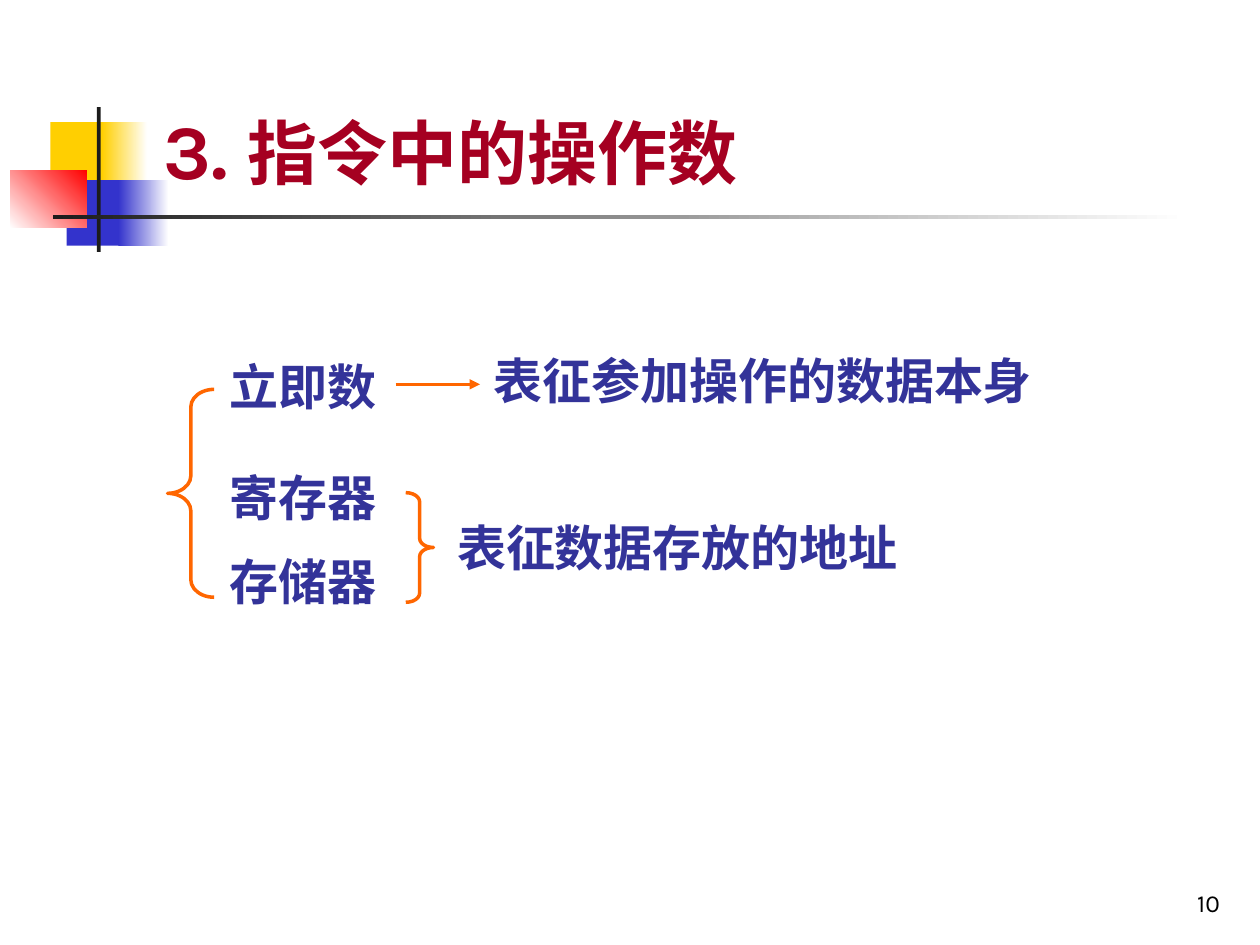
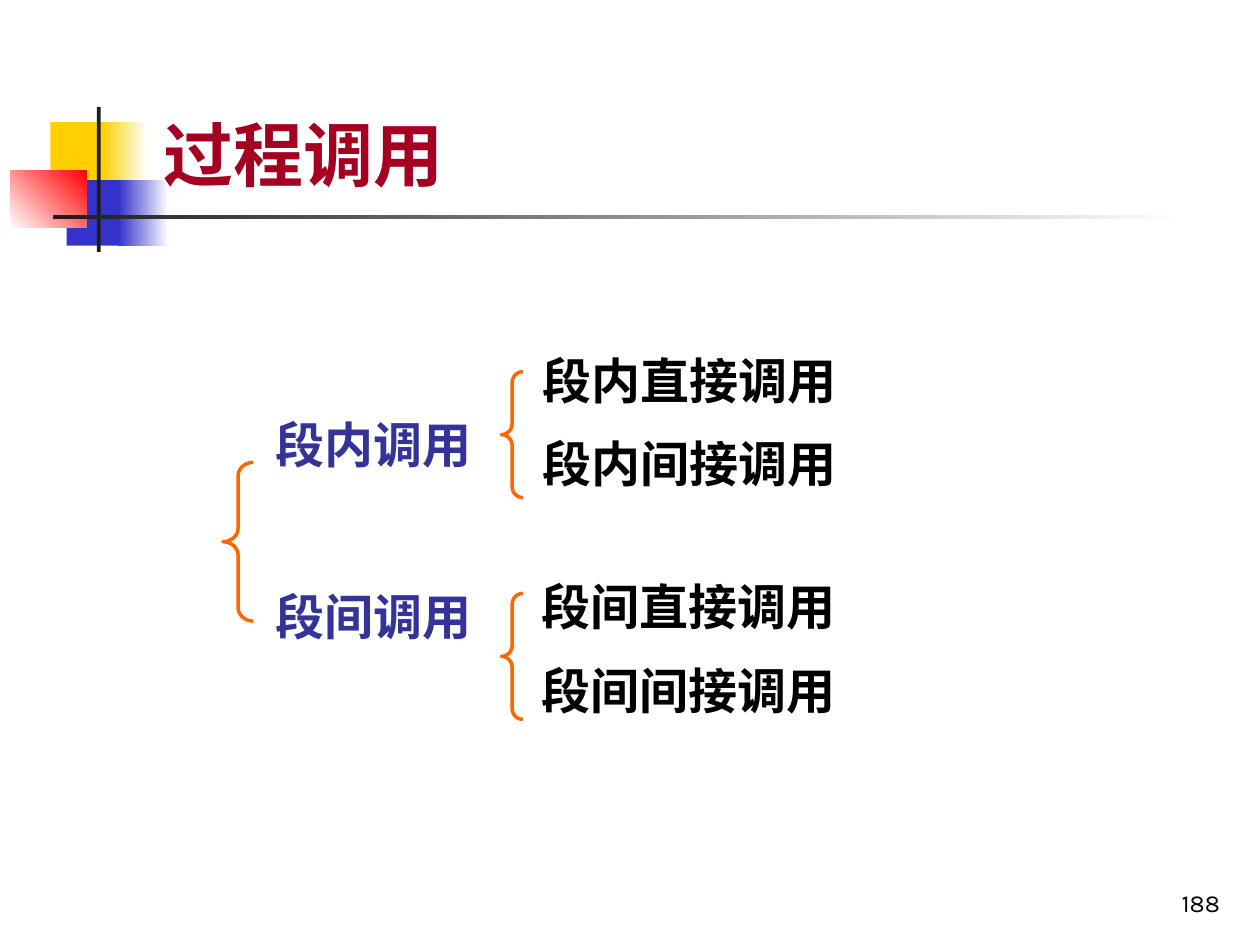
from lxml.etree import SubElement
from pptx import Presentation
from pptx.dml.color import RGBColor
from pptx.enum.shapes import MSO_CONNECTOR, MSO_SHAPE
from pptx.enum.text import MSO_ANCHOR, MSO_AUTO_SIZE, PP_ALIGN
from pptx.oxml.ns import qn
from pptx.util import Emu, Pt

SCALE = 9144
LATIN, CHINESE = "Karla", "Noto Sans CJK SC"
RED, NAVY, ORANGE = "A50021", "333399", "FF6600"
BLACK, INK, WHITE = "000000", "1C1C1C", "FFFFFF"
YELLOW, BLUE, BRIGHT_RED = "FFCF01", "3333CC", "FF0000"

BAND = [
    ((40, 97, 48, 52), [YELLOW], 0),
    ((81, 97, 36, 52), [YELLOW, WHITE], 0),
    ((53, 143, 46, 52), [BLUE], 0),
    ((94, 143, 40, 52), [BLUE, WHITE], 0),
    ((8, 135, 61, 46), [WHITE, BRIGHT_RED], 45),
    ((77, 85, 3, 115), [INK], 0),
    ((42, 171, 900, 3), [INK, WHITE], 0),
]


def px(value):
    return Emu(value * SCALE)


def place(*lengths):
    return [px(length) for length in lengths]


def color(value):
    return RGBColor.from_string(value)


def add_span(para, text, size, tint, font=CHINESE, bold=True):
    span = para.add_run()
    span.text = text
    span.font.size = Pt(size)
    span.font.bold = bold
    span.font.name = font
    span.font.color.rgb = color(tint)
    SubElement(span.font._element, qn("a:ea"), typeface=font)


def add_paras(frame, lines, tint, gaps, line_spacing=None):
    for index, line in enumerate(lines):
        para = frame.paragraphs[0] if index == 0 else frame.add_paragraph()
        if index:
            para.space_before = Pt(gaps[index - 1])
        else:
            para.space_before = Pt(0)
        para.line_spacing = line_spacing
        add_span(para, line, 28, tint)


def add_band(page):
    for area, tints, angle in BAND:
        block = page.shapes.add_shape(MSO_SHAPE.RECTANGLE, *place(*area))
        block.shadow.inherit = False
        block.line.fill.background()
        if len(tints) == 1:
            block.fill.solid()
            block.fill.fore_color.rgb = color(tints[0])
            continue
        block.fill.gradient()
        block.fill.gradient_angle = angle
        for stop, tint in zip(block.fill.gradient_stops, tints):
            stop.color.rgb = color(tint)


def add_number(page, number):
    box = page.shapes.add_textbox(*place(770, 683, 208, 50))
    frame = box.text_frame
    frame.word_wrap = True
    frame.vertical_anchor = MSO_ANCHOR.BOTTOM
    para = frame.paragraphs[0]
    para.alignment = PP_ALIGN.RIGHT
    add_span(para, number, 14, BLACK, LATIN, False)


def move_placeholder(page, holder, area):
    holder.left, holder.top, holder.width, holder.height = place(*area)
    holder.text_frame.auto_size = MSO_AUTO_SIZE.NONE
    page.shapes.element.append(holder.element)


def add_page(deck, number, title_spans):
    page = deck.slides.add_slide(deck.slide_layouts[1])
    add_band(page)
    add_number(page, number)
    title = page.shapes.title
    move_placeholder(page, title, (120, 0, 852, 160))
    title.text_frame.vertical_anchor = MSO_ANCHOR.BOTTOM
    para = title.text_frame.paragraphs[0]
    para.alignment = PP_ALIGN.LEFT
    for text, size, font in title_spans:
        add_span(para, text, size, RED, font)
    return page


def fill_body(page, area, lines, gaps):
    body = page.placeholders[1]
    move_placeholder(page, body, area)
    add_paras(body.text_frame, lines, NAVY, gaps, 1.08)
    for para in body.text_frame.paragraphs:
        properties = para._p.get_or_add_pPr()
        properties.set("marL", "0")
        properties.set("indent", "0")
        SubElement(properties, qn("a:buNone"))


def add_label(page, area, lines, tint):
    box = page.shapes.add_textbox(*place(*area))
    box.text_frame.word_wrap = True
    box.text_frame.auto_size = MSO_AUTO_SIZE.SHAPE_TO_FIT_TEXT
    add_paras(box.text_frame, lines, tint, [14] * len(lines))


def add_brace(page, area, curve, rotation=0):
    brace = page.shapes.add_shape(MSO_SHAPE.LEFT_BRACE, *place(*area))
    brace.shadow.inherit = False
    brace.adjustments[0] = curve
    brace.rotation = rotation
    brace.fill.background()
    brace.line.color.rgb = color(ORANGE)
    brace.line.width = Pt(2)


def add_arrow(page, *ends):
    arrow = page.shapes.add_connector(MSO_CONNECTOR.STRAIGHT, *place(*ends))
    arrow.line.color.rgb = color(ORANGE)
    arrow.line.width = Pt(1.75)
    SubElement(arrow.line._get_or_add_ln(), qn("a:tailEnd"), type="triangle")
    SubElement(arrow._element.spPr, qn("a:effectLst"))


def build_operands(deck):
    title = [("3. ", 44, LATIN), ("指令中的操作数", 40, CHINESE)]
    page = add_page(deck, "10", title)
    fill_body(page, (172, 274, 386, 288), ["立即数", "寄存器", "存储器"], [27, 12])
    add_brace(page, (133, 309, 37, 165), 0.375)
    add_arrow(page, 314, 305, 381, 305)
    add_brace(page, (322, 391, 22, 87), 0.33, 180)
    add_label(page, (382, 273, 473, 57), ["表征参加操作的数据本身"], NAVY)
    add_label(page, (353, 406, 472, 57), ["表征数据存放的地址"], NAVY)


def build_calls(deck):
    page = add_page(deck, "188", [("过程调用", 40, CHINESE)])
    fill_body(page, (209, 320, 392, 242), ["段内调用", "段间调用"], [62])
    add_label(page, (421, 273, 283, 127), ["段内直接调用", "段内间接调用"], BLACK)
    add_label(page, (420, 453, 283, 127), ["段间直接调用", "段间间接调用"], BLACK)
    add_brace(page, (177, 367, 24, 126), 0.444)
    for top in (295, 471):
        add_brace(page, (398, top, 17, 100), 0.5)


def main():
    deck = Presentation()
    deck.slide_width, deck.slide_height = place(1000, 750)
    build_operands(deck)
    build_calls(deck)
    deck.save("out.pptx")


if __name__ == "__main__":
    main()
